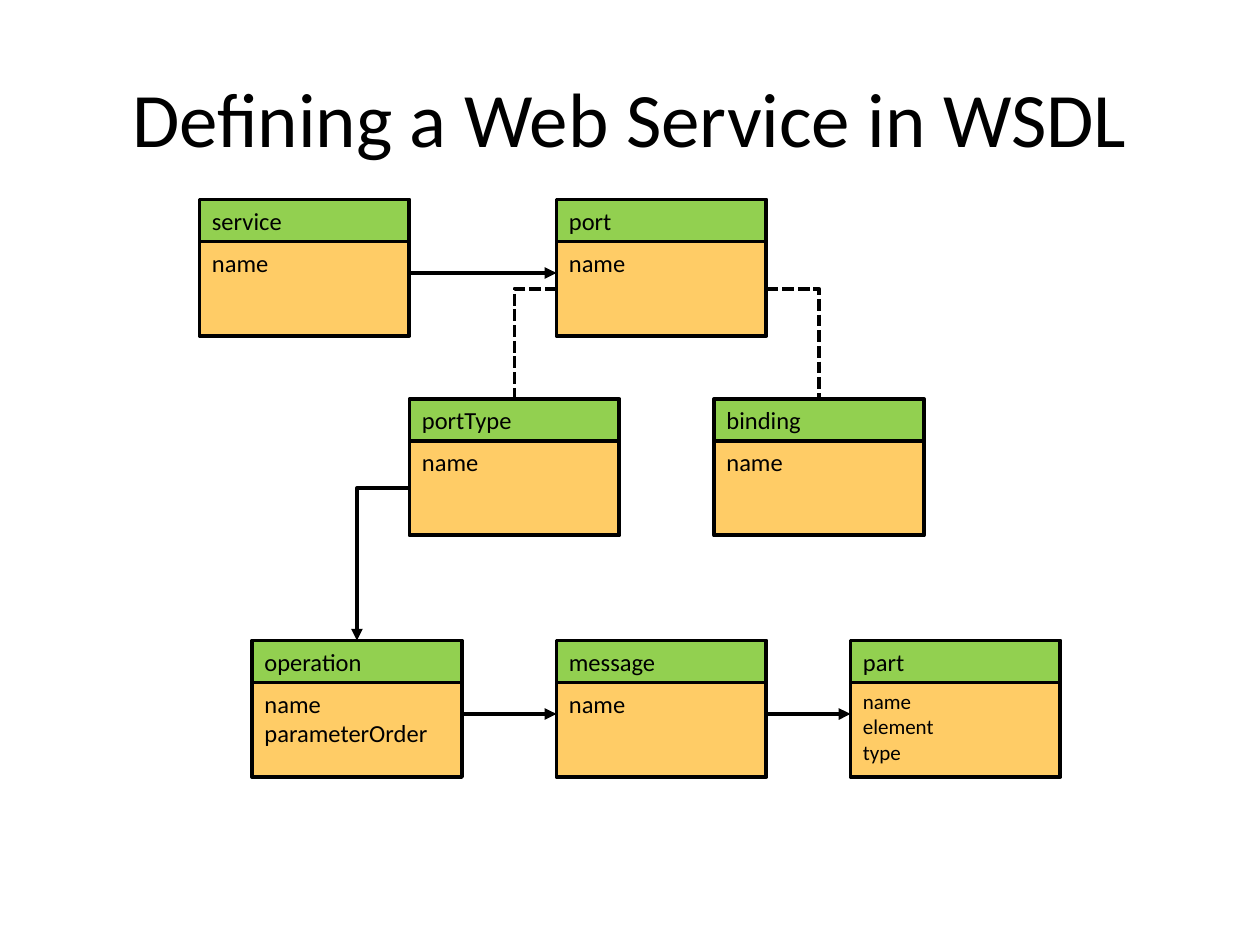
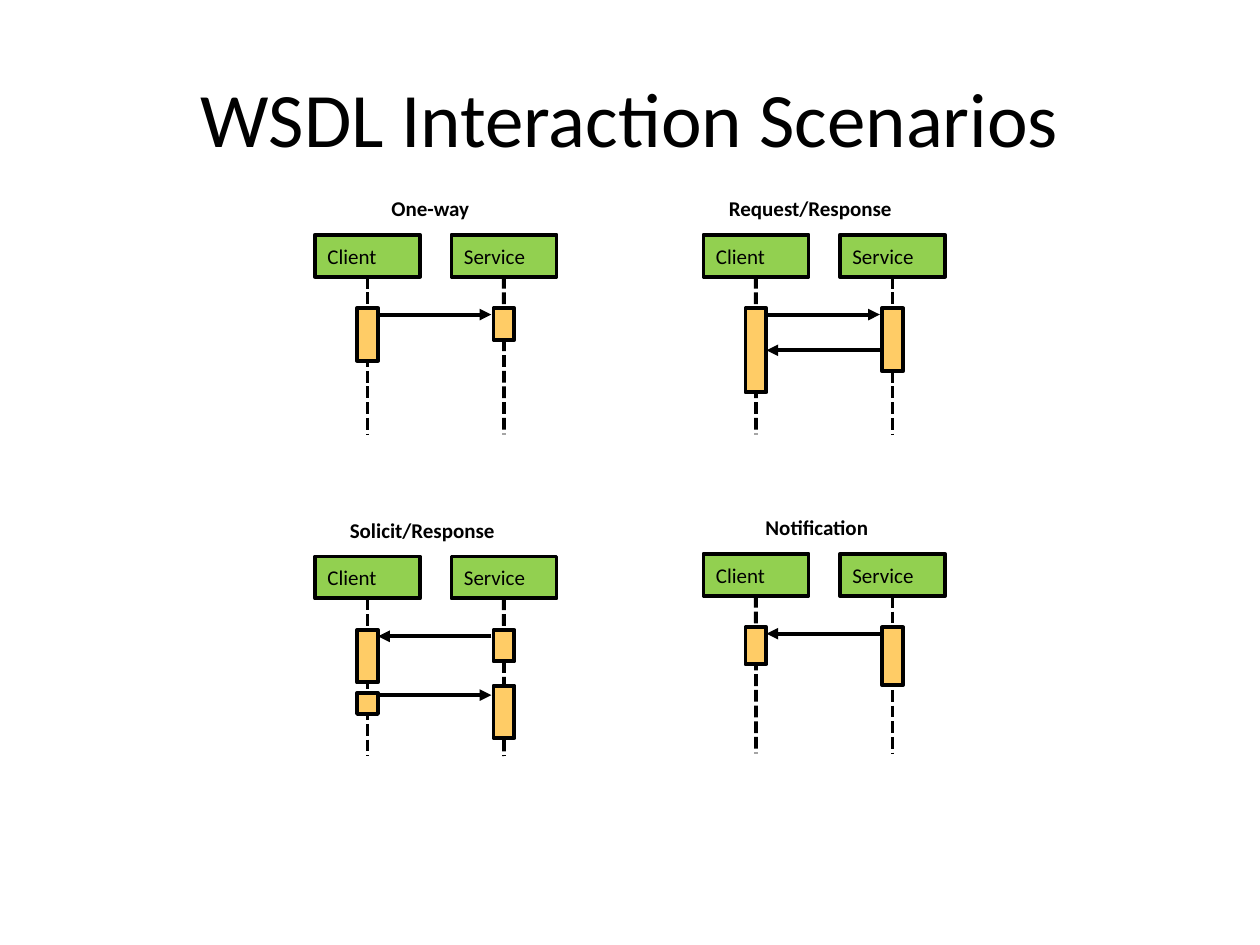
from lxml import etree
from pptx import Presentation
from pptx import util as u
from pptx.dml.color import RGBColor
from pptx.enum import dml, shapes, text
from pptx.oxml.ns import qn

WIDE, HIGH = 10, 7.5
UNIT = 1 / 12  # grid step in inches
FONT = "Calibri"
BLACK, GREEN, SAND = "000000", "92D050", "FFCC66"

# Slide 1: name -> (column, row, attributes, text size of attributes)
ROWS = (19, 38, 61)
NODES = {
    "service": (19, 0, ["name"], 14),
    "port": (53, 0, ["name"], 14),
    "binding": (68, 1, ["name"], 14),
    "portType": (39, 1, ["name"], 14),
    "operation": (24, 2, ["name", "parameterOrder"], 14),
    "message": (53, 2, ["name"], 14),
    "part": (81, 2, ["name", "element", "type"], 12),
}
NODE_W, HEAD_H, BODY_H, FLOW_Y = 20, 4, 9, 7
FLOWS = [("service", "port"), ("operation", "message"), ("message", "part")]
# from, side of its body, to, dashed
BENDS = [
    ("portType", 1, "operation", False),
    ("port", 1, "portType", True),
    ("port", 3, "binding", True),
]

# Slide 2: bars are (offset, length) and calls (offset, direction)
SCENES = [
    dict(name="One-way", width=0.9, at=(30, 22.36),
         client=[(7, 5)], service=[(7, 3)], calls=[(7.6, "right")]),
    dict(name="Request/Response", width=1.71, at=(67, 22.36),
         client=[(7, 8)], service=[(7, 6)],
         calls=[(7.6, "right"), (11, "left")]),
    dict(name="Notification", width=1.13, at=(67, 52.75),
         client=[(7, 3.5)], service=[(7, 5.5)], calls=[(7.6, "left")]),
    dict(name="Solicit/Response", width=1.56, at=(30, 53),
         client=[(7, 5), (13, 2)], service=[(7, 3), (12.3, 5)],
         calls=[(7.6, "left"), (13.2, "right")]),
]
ROLE_W, ROLE_STEP, LIFE, BAR_W = 10, 13, 15, 2


def color(code):
    return RGBColor.from_string(code)


def grid(*vals):
    return [u.Inches(v * UNIT) for v in vals]


def write(shape, lines, size=14, bold=False, align="LEFT", anchor="TOP"):
    frame = shape.text_frame
    frame.word_wrap = True
    frame.vertical_anchor = getattr(text.MSO_ANCHOR, anchor)
    frame.text = "\n".join(lines)
    for para in frame.paragraphs:
        para.alignment = getattr(text.PP_ALIGN, align)
        font = para.font
        font.name, font.size, font.bold = FONT, u.Pt(size), bold
        font.color.rgb = color(BLACK)


def label(slide, words, left, top, width, height, **form):
    """Add a text box measured in inches."""
    box = slide.shapes.add_textbox(*map(u.Inches, (left, top, width, height)))
    write(box, [words], **form)


def rect(slide, left, top, width, height, fill, lines=(), **form):
    """Add an outlined rectangle measured in grid units."""
    box = slide.shapes.add_shape(
        shapes.MSO_SHAPE.RECTANGLE, *grid(left, top, width, height))
    box.shadow.inherit = False
    box.fill.solid()
    box.fill.fore_color.rgb = color(fill)
    box.line.color.rgb = color(BLACK)
    box.line.width = u.Pt(2.25)
    if lines:
        write(box, lines, **form)
    return box


def link(slide, start, end, bent=False, dash=False, arrow=False):
    """Add a connector between two points in grid units."""
    kind = shapes.MSO_CONNECTOR.ELBOW if bent else shapes.MSO_CONNECTOR.STRAIGHT
    line = slide.shapes.add_connector(kind, *grid(*start, *end))
    line.line.color.rgb = color(BLACK)
    line.line.width = u.Pt(2.25)
    if dash:
        line.line.dash_style = dml.MSO_LINE.SQUARE_DOT
    props = line._element.spPr
    if bent:
        props.find(qn("a:prstGeom")).set("prst", "bentConnector2")
    if arrow:
        tail = etree.SubElement(props.find(qn("a:ln")), qn("a:tailEnd"))
        tail.set("type", "triangle")
    etree.SubElement(props, qn("a:effectLst"))
    return line


def page(deck, title):
    slide = deck.slides.add_slide(deck.slide_layouts[6])
    label(slide, title, 0.05 * WIDE, 0.04 * HIGH, 0.9 * WIDE, HIGH / 6,
          size=44, align="CENTER", anchor="MIDDLE")
    return slide


def draw_model(slide):
    heads, bodies = {}, {}
    for name, (x, row, attrs, size) in NODES.items():
        y = ROWS[row]
        heads[name] = rect(slide, x, y, NODE_W, HEAD_H, GREEN, [name])
        bodies[name] = rect(slide, x, y + HEAD_H, NODE_W, BODY_H, SAND,
                            attrs, size=size)
    for a, b in FLOWS:
        y = ROWS[NODES[a][1]] + FLOW_Y
        link(slide, (NODES[a][0] + NODE_W, y), (NODES[b][0], y), arrow=True)
    for a, side, b, dash in BENDS:
        start = (NODES[a][0] + (NODE_W if side == 3 else 0),
                 ROWS[NODES[a][1]] + HEAD_H + BODY_H / 2)
        end = (NODES[b][0] + NODE_W / 2, ROWS[NODES[b][1]])
        line = link(slide, start, end, bent=True, dash=dash, arrow=not dash)
        line.begin_connect(bodies[a], side)
        line.end_connect(heads[b], 0)


def draw_scene(slide, scene):
    x, y = scene["at"]
    mid = (x + (ROLE_STEP + ROLE_W) / 2) * UNIT
    label(slide, scene["name"], mid - scene["width"] / 2, y * UNIT - 0.36,
          scene["width"], 0.3, size=12, bold=True)
    for i, role in enumerate(("Client", "Service")):
        left = x + i * ROLE_STEP
        axis = left + ROLE_W / 2
        head = rect(slide, left, y, ROLE_W, HEAD_H, GREEN, [role],
                    size=12, anchor="MIDDLE")
        life = link(slide, (axis, y + HEAD_H), (axis, y + HEAD_H + LIFE),
                    dash=True)
        life.begin_connect(head, 2)
        for off, size in scene[role.lower()]:
            rect(slide, axis - BAR_W / 2, y + off, BAR_W, size, SAND)
    near = x + ROLE_W / 2 + BAR_W / 2
    far = x + ROLE_STEP + ROLE_W / 2 - 1.2
    for off, way in scene["calls"]:
        start, end = (near, far) if way == "right" else (far, near)
        link(slide, (start, y + off), (end, y + off), arrow=True)


def main():
    deck = Presentation()
    deck.slide_width, deck.slide_height = u.Inches(WIDE), u.Inches(HIGH)
    draw_model(page(deck, "Defining a Web Service in WSDL"))
    slide = page(deck, "WSDL Interaction Scenarios")
    for scene in SCENES:
        draw_scene(slide, scene)
    deck.save("out.pptx")


if __name__ == "__main__":
    main()
